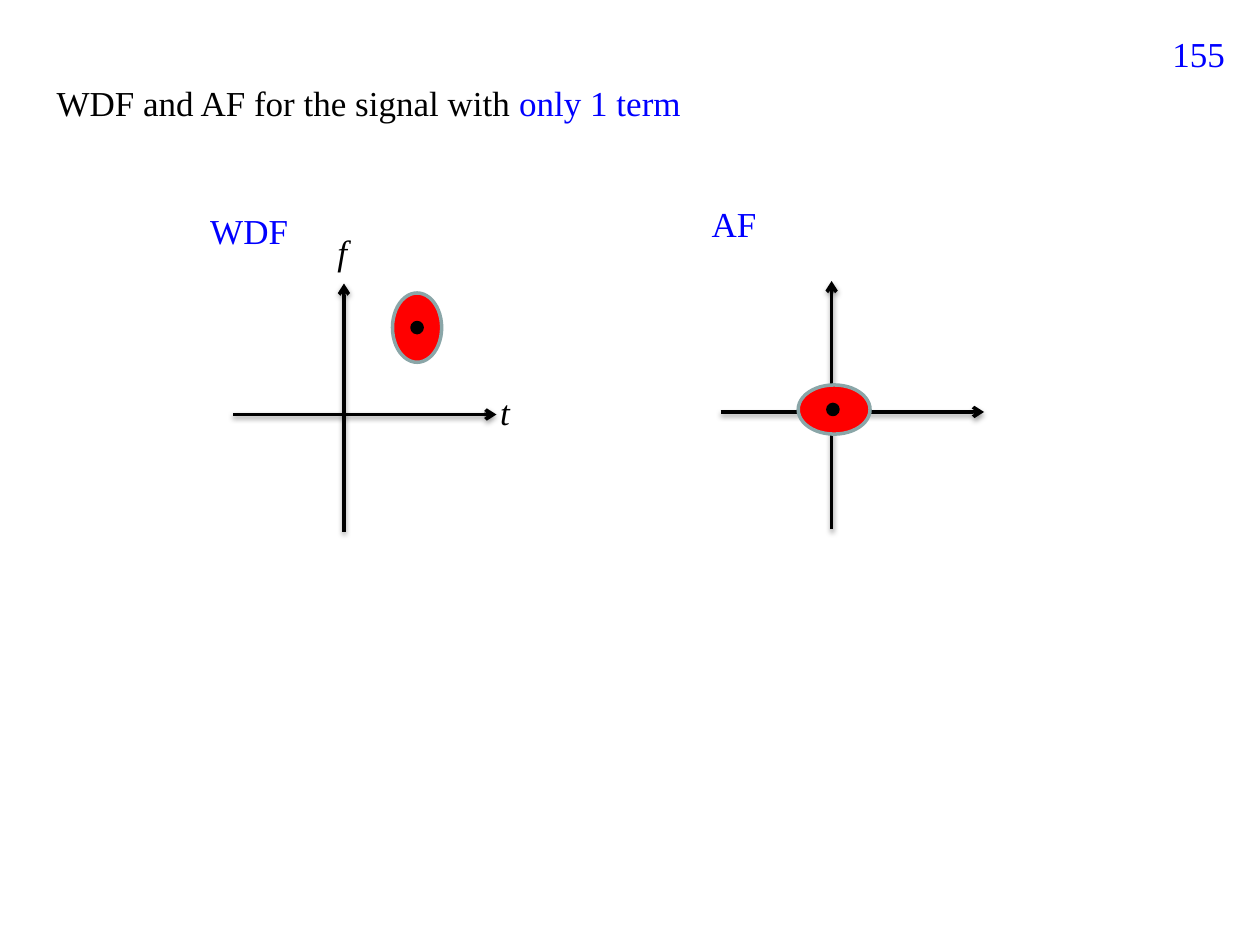
from dataclasses import dataclass

from lxml.etree import SubElement
from pptx import Presentation
from pptx.dml.color import RGBColor
from pptx.enum.shapes import MSO_CONNECTOR as CONN, MSO_SHAPE as SHAPE
from pptx.enum.text import MSO_ANCHOR as ANCHOR, PP_ALIGN as ALIGN
from pptx.oxml import parse_xml
from pptx.oxml.ns import nsdecls, qn
from pptx.util import Inches, Pt


@dataclass(frozen=True)
class Theme:
    """Colours, type and line sizes of the slide."""
    ink: RGBColor = RGBColor(0, 0, 0)
    accent: RGBColor = RGBColor(0, 0, 255)
    term: RGBColor = RGBColor(255, 0, 0)
    edge: RGBColor = RGBColor(0x8A, 0xA6, 0xA8)
    font: str = "Times New Roman"
    size: Pt = Pt(20)
    line: Pt = Pt(2)


T = Theme()
SHADOW = (
    f'<a:effectLst {nsdecls("a")}>'
    '<a:outerShdw blurRad="39370" dist="20320" dir="5400000" rotWithShape="0">'
    '<a:srgbClr val="000000"><a:alpha val="38000"/></a:srgbClr>'
    '</a:outerShdw></a:effectLst>'
)


def add_run(p, text, color=T.ink, italic=False):
    """Append a formatted run to a paragraph."""
    r = p.add_run()
    r.text = text
    r.font.name, r.font.size, r.font.italic = T.font, T.size, italic
    r.font.color.rgb = color


def add_text(shapes, text, x, y, w, h=0.43, align=ALIGN.LEFT, **fmt):
    """Add a one-paragraph text box and return its paragraph."""
    box = shapes.add_textbox(Inches(x), Inches(y), Inches(w), Inches(h))
    tf = box.text_frame
    tf.word_wrap = True
    tf.vertical_anchor = ANCHOR.TOP
    p = tf.paragraphs[0]
    p.alignment = align
    add_run(p, text, **fmt)
    return p


def add_arrow(shapes, x1, y1, x2, y2):
    """Add a shadowed axis with an arrowhead at its end."""
    c = shapes.add_connector(CONN.STRAIGHT, Inches(x1), Inches(y1), Inches(x2), Inches(y2))
    c.line.color.rgb, c.line.width = T.ink, T.line
    SubElement(c.line._get_or_add_ln(), qn("a:tailEnd"), type="arrow")
    c._element.spPr.append(parse_xml(SHADOW))


def add_axes(shapes, x, y):
    """Add a vertical and a horizontal axis crossing at x, y."""
    add_arrow(shapes, x, y + 0.93, x, y - 1.04)
    add_arrow(shapes, x - 0.88, y, x + 1.21, y)


def add_ellipse(shapes, cx, cy, w, h, fill, line, rotation=0):
    """Add an ellipse centred at cx, cy."""
    sp = shapes.add_shape(SHAPE.OVAL, Inches(cx - w / 2), Inches(cy - h / 2), Inches(w), Inches(h))
    sp.shadow.inherit = False
    sp.fill.solid()
    sp.fill.fore_color.rgb = fill
    sp.line.color.rgb, sp.line.width = line, T.line
    sp.rotation = rotation


def add_term(shapes, center, dot, height, rotation=0):
    """Add a signal term with its centre dot."""
    add_ellipse(shapes, *center, 0.39, height, T.term, T.edge, rotation)
    add_ellipse(shapes, *dot, 0.08, 0.08, T.ink, T.ink, rotation)


def add_wdf(s):
    """Add the WDF diagram, with its term away from the origin."""
    shapes = s.shapes.add_group_shape().shapes
    add_axes(shapes, 2.73, 3.29)
    add_text(shapes, "f", 2.58, 1.78, 0.55, italic=True)
    add_text(shapes, "t", 3.87, 3.05, 0.55, italic=True)
    add_text(shapes, "WDF", 1.57, 1.61, 1.02, color=T.accent)
    add_term(shapes, (3.31, 2.6), (3.31, 2.6), 0.55)


def add_af(s):
    """Add the AF diagram, with its term at the origin."""
    shapes = s.shapes.add_group_shape().shapes
    add_axes(shapes, 6.6, 3.27)
    add_text(shapes, "AF", 5.55, 1.56, 1.02, color=T.accent)
    add_term(shapes, (6.62, 3.25), (6.61, 3.25), 0.57, rotation=90)


def main():
    """Build and save the slide."""
    prs = Presentation()
    prs.slide_width, prs.slide_height = Inches(10), Inches(7.5)
    s = prs.slides.add_slide(prs.slide_layouts[6])
    add_text(s.shapes, "155", 8.94, 0.21, 0.88, 0.52, ALIGN.RIGHT, color=T.accent)
    add_wdf(s)
    add_af(s)
    p = add_text(s.shapes, "WDF and AF for the signal with ", 0.35, 0.6, 5.35)
    add_run(p, "only 1 term", color=T.accent)
    prs.save("out.pptx")


if __name__ == "__main__":
    main()
